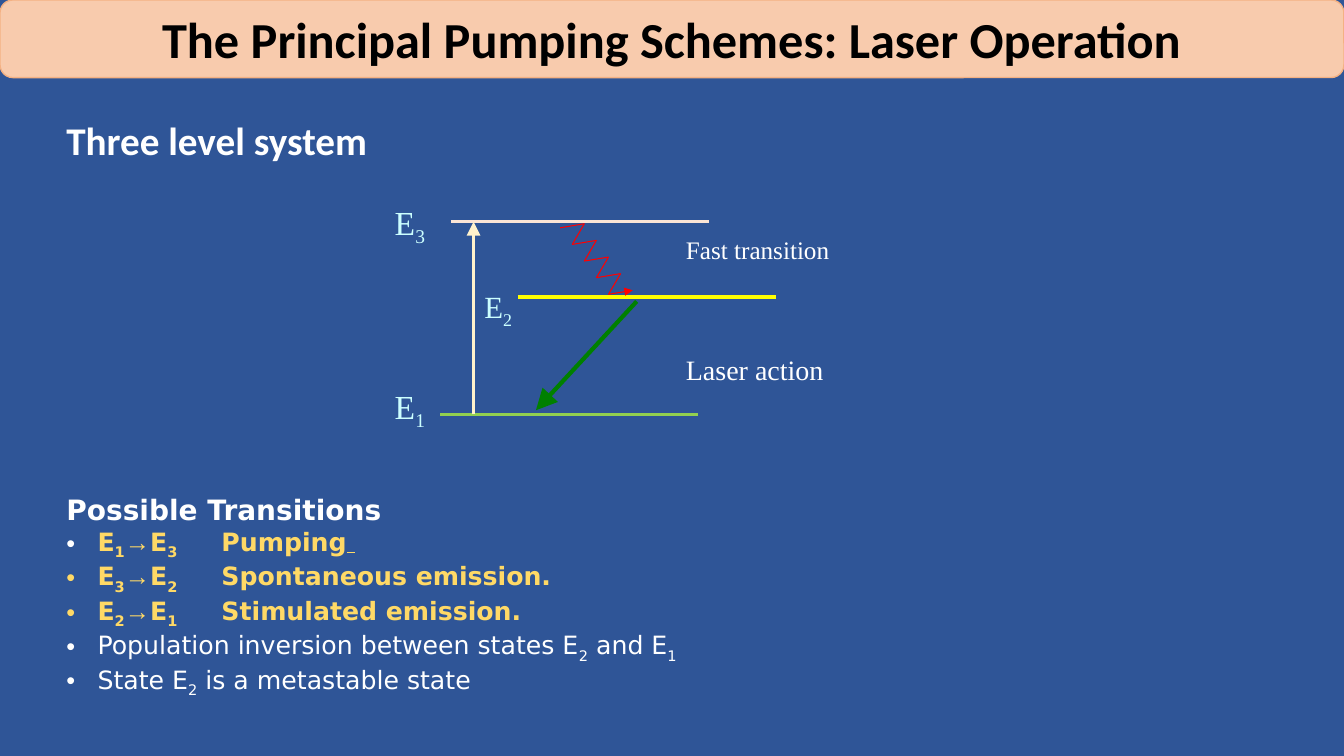
from dataclasses import dataclass, replace
from itertools import pairwise

from lxml import etree
from pptx import Presentation
from pptx.dml.color import RGBColor
from pptx.enum.shapes import MSO_CONNECTOR, MSO_SHAPE
from pptx.enum.text import MSO_ANCHOR, MSO_AUTO_SIZE, PP_ALIGN
from pptx.oxml.ns import qn
from pptx.util import Inches, Pt

STRAIGHT = MSO_CONNECTOR.STRAIGHT
ROUNDED = MSO_SHAPE.ROUNDED_RECTANGLE
CENTER = PP_ALIGN.CENTER
MIDDLE = MSO_ANCHOR.MIDDLE
GROW = MSO_AUTO_SIZE.SHAPE_TO_FIT_TEXT


@dataclass(frozen=True)
class TextStyle:
    font: str
    size: int
    color: str
    bold: bool = False


class Theme:
    background = "2F5597"
    banner_fill, banner_line = "F8CBAD", "F4B183"
    ground, metastable, upper = "92D050", "FFFF00", "FBE5D6"
    pump, laser, decay = "FFF2CC", "008000", "FF0000"
    title = TextStyle("Calibri", 36, "000000", True)
    subtitle = TextStyle("Calibri", 28, "FFFFFF", True)
    level = TextStyle("Times New Roman", 24, "CCFFFF")
    small_level = replace(level, size=22)
    fast_label = TextStyle("Times New Roman", 18, "FFFFFF")
    laser_label = replace(fast_label, size=20)
    heading = TextStyle("DejaVu Sans", 20, "FFFFFF", True)
    note = TextStyle("DejaVu Sans", 18, "FFFFFF")
    transition = TextStyle("DejaVu Sans", 18, "FFD966", True)
    arrow = replace(transition, font="Arial")


LEVEL_LINES = [
    (4.37, 4.11, Theme.ground, 2),
    (4.48, 2.2, Theme.upper, 2.25),
    (5.14, 2.95, Theme.metastable, 3),
]
LEVEL_WIDTH = 2.56

DIAGRAM_LABELS = [
    ("E_1", 3.82, 3.78, 0.5, 0.56, Theme.level),
    ("E_3", 3.82, 1.95, 0.5, 0.56, Theme.level),
    ("E_2", 4.71, 2.81, 0.48, 0.52, Theme.small_level),
    ("Fast transition", 6.71, 2.28, 1.62, 0.4, Theme.fast_label),
    ("Laser action", 6.71, 3.45, 1.57, 0.44, Theme.laser_label),
]

# start level, end level, process, bullet colour
TRANSITIONS = [
    ("E_1", "E_3", "Pumping", Theme.note.color),
    ("E_3", "E_2", "Spontaneous emission.", Theme.transition.color),
    ("E_2", "E_1", "Stimulated emission.", Theme.transition.color),
]
NOTES = [
    "Population inversion between states E_2 and E_1",
    "State E_2 is a metastable state",
]
BULLET_INDENT = 0.31
PROCESS_TAB = 1.54


def rgb(color):
    return RGBColor.from_string(color)


def add_run(paragraph, text, style, subscript=False):
    run = paragraph.add_run()
    run.text = text
    run.font.name = style.font
    run.font.size = Pt(style.size)
    run.font.bold = style.bold
    run.font.color.rgb = rgb(style.color)
    if subscript:
        run.font._element.set("baseline", "-25000")
    return run


def add_formula(paragraph, text, style):
    """Add text in which the character after each underscore is a subscript."""
    first, *rest = text.split("_")
    add_run(paragraph, first, style)
    for piece in rest:
        add_run(paragraph, piece[0], style, subscript=True)
        if piece[1:]:
            add_run(paragraph, piece[1:], style)


def add_text(slide, text, left, top, width, height, style, wrap=True):
    box = slide.shapes.add_textbox(Inches(left), Inches(top), Inches(width), Inches(height))
    box.text_frame.word_wrap = wrap
    box.text_frame.auto_size = GROW
    add_formula(box.text_frame.paragraphs[0], text, style)
    return box.text_frame


def add_line(slide, start, end, color, width, head=None):
    """Draw a line; head is the arrowhead size at its end, "med" or "lg"."""
    line = slide.shapes.add_connector(STRAIGHT, *(Inches(v) for v in (*start, *end)))
    line.line.color.rgb = rgb(color)
    line.line.width = Pt(width)
    if head:
        outline = line.line._get_or_add_ln()
        etree.SubElement(outline, qn("a:tailEnd"), type="triangle", w=head, len=head)
    etree.SubElement(line._element.spPr, qn("a:effectLst"))


def add_bullet(text_frame, color):
    paragraph = text_frame.add_paragraph()
    properties = paragraph._p.get_or_add_pPr()
    properties.set("marL", str(Inches(BULLET_INDENT)))
    properties.set("indent", str(-Inches(BULLET_INDENT)))
    bullet_color = etree.SubElement(properties, qn("a:buClr"))
    etree.SubElement(bullet_color, qn("a:srgbClr"), val=color)
    etree.SubElement(properties, qn("a:buFont"), typeface="Arial")
    etree.SubElement(properties, qn("a:buChar"), char="•")
    tabs = etree.SubElement(properties, qn("a:tabLst"))
    etree.SubElement(tabs, qn("a:tab"), pos=str(Inches(PROCESS_TAB)), algn="l")
    return paragraph


def add_banner(slide):
    banner = slide.shapes.add_shape(ROUNDED, 0, 0, Inches(13.34), Inches(0.77))
    banner.shadow.inherit = False
    banner.fill.solid()
    banner.fill.fore_color.rgb = rgb(Theme.banner_fill)
    banner.line.color.rgb = rgb(Theme.banner_line)
    banner.line.width = Pt(1)
    banner.text_frame.vertical_anchor = MIDDLE
    title = banner.text_frame.paragraphs[0]
    title.alignment = CENTER
    add_run(title, "The Principal Pumping Schemes: Laser Operation", Theme.title)


def add_decay_zigzag(slide):
    corners = []
    for step in range(5):
        dx, dy = 0.12 * step, 0.165 * step
        corners += [(5.56 + dx, 2.26 + dy), (5.8 + dx, 2.22 + dy)]
    for start, end in pairwise(corners):
        head = "med" if end == corners[-1] else None
        add_line(slide, start, end, Theme.decay, 0.75, head)


def add_energy_diagram(slide):
    for left, y, color, width in LEVEL_LINES:
        add_line(slide, (left, y), (left + LEVEL_WIDTH, y), color, width)
    add_line(slide, (4.7, 4.11), (4.7, 2.2), Theme.pump, 1.75, "lg")
    add_line(slide, (6.32, 2.99), (5.32, 4.07), Theme.laser, 3, "lg")
    add_decay_zigzag(slide)
    for text, left, top, width, height, style in DIAGRAM_LABELS:
        add_text(slide, text, left, top, width, height, style, wrap=False)


def add_transition_list(slide):
    frame = add_text(slide, "Possible Transitions", 0.56, 4.84, 11.78, 2.14, Theme.heading)
    for start, end, process, bullet_color in TRANSITIONS:
        paragraph = add_bullet(frame, bullet_color)
        add_formula(paragraph, start, Theme.transition)
        add_run(paragraph, "→", Theme.arrow)
        add_formula(paragraph, end, Theme.transition)
        add_run(paragraph, "\t" + process, Theme.transition)
        if process == "Pumping":
            add_run(paragraph, " ", Theme.transition).font.underline = True
    for note in NOTES:
        add_formula(add_bullet(frame, Theme.note.color), note, Theme.note)


def main():
    deck = Presentation()
    deck.slide_width, deck.slide_height = Inches(13.34), Inches(7.5)
    slide = deck.slides.add_slide(deck.slide_layouts[6])
    slide.background.fill.solid()
    slide.background.fill.fore_color.rgb = rgb(Theme.background)
    subtitle = add_text(slide, "Three level system", 0.56, 1.16, 12, 0.55, Theme.subtitle)
    subtitle.paragraphs[0].line_spacing = 0.9
    add_energy_diagram(slide)
    add_transition_list(slide)
    add_banner(slide)
    deck.save("out.pptx")


if __name__ == "__main__":
    main()
